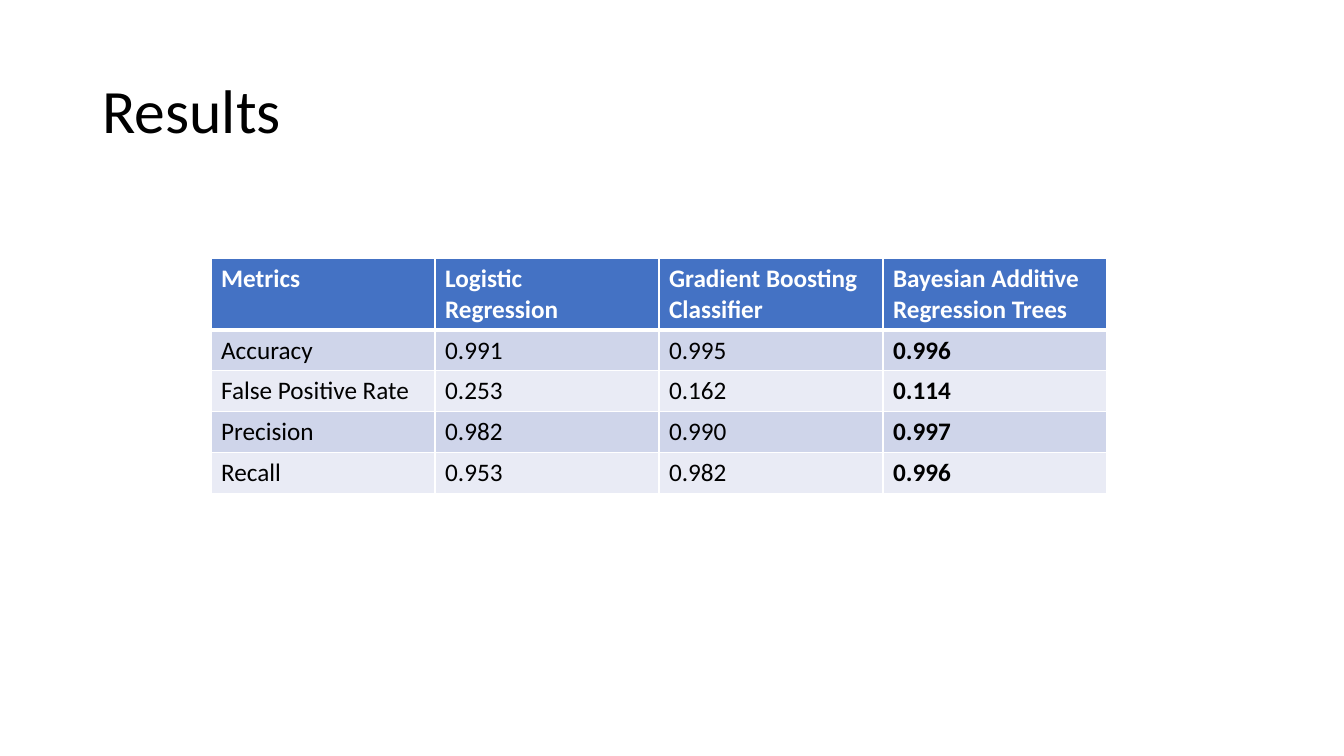
import pptx
import pptx.dml.color
import pptx.enum.text
import pptx.oxml.ns
import pptx.util
from lxml import etree

Cm = pptx.util.Cm
Pt = pptx.util.Pt

RESULTS = [
    ["Metrics", "Logistic\nRegression", "Gradient Boosting Classifier",
     "Bayesian Additive Regression Trees"],
    ["Accuracy", "0.991", "0.995", "0.996"],
    ["False Positive Rate", "0.253", "0.162", "0.114"],
    ["Precision", "0.982", "0.990", "0.997"],
    ["Recall", "0.953", "0.982", "0.996"],
]


def color(value):
    return pptx.dml.color.RGBColor.from_string(value)


class ResultsSlide:
    font_name = "Calibri"
    text_color = "000000"
    light_color = "FFFFFF"
    header_color = "4472C4"
    band_colors = ("E9EBF5", "CFD5EA")

    def __init__(self, presentation):
        self.slide = presentation.slides.add_slide(presentation.slide_layouts[5])

    def format_text(self, text_frame, size, font_color, bold=False):
        for paragraph in text_frame.paragraphs:
            for run in paragraph.runs:
                run.font.name = self.font_name
                run.font.size = Pt(size)
                run.font.bold = bold
                run.font.color.rgb = color(font_color)

    def add_title(self, text):
        title = self.slide.shapes.title
        title.left, title.top = Cm(2.33), Cm(1.01)
        title.width, title.height = Cm(29.21), Cm(3.68)
        text_frame = title.text_frame
        text_frame.text = text
        text_frame.word_wrap = True
        text_frame.vertical_anchor = pptx.enum.text.MSO_ANCHOR.MIDDLE
        paragraph = text_frame.paragraphs[0]
        paragraph.alignment = pptx.enum.text.PP_ALIGN.LEFT
        paragraph.line_spacing = 0.9
        self.format_text(text_frame, 44, self.text_color)

    def add_border(self, cell, side, width):
        properties = cell._tc.get_or_add_tcPr()
        line = etree.SubElement(properties, pptx.oxml.ns.qn(f"a:ln{side}"), w=str(Pt(width)))
        fill = etree.SubElement(line, pptx.oxml.ns.qn("a:solidFill"))
        etree.SubElement(fill, pptx.oxml.ns.qn("a:srgbClr"), val=self.light_color)

    def format_cell(self, cell, row, is_best):
        is_header = row == 0
        borders = {"L": 1, "R": 1, "T": 3 if row == 1 else 1, "B": 3 if is_header else 1}
        for side, width in borders.items():
            self.add_border(cell, side, width)
        cell.fill.solid()
        cell.fill.fore_color.rgb = color(self.header_color if is_header else self.band_colors[row % 2])
        font_color = self.light_color if is_header else self.text_color
        self.format_text(cell.text_frame, 18, font_color, is_header or is_best)

    def add_table(self, rows):
        column_count = len(rows[0])
        header_height, row_height = Cm(1.78), Cm(1.03)
        frame = self.slide.shapes.add_table(
            len(rows), column_count, Cm(5.32), Cm(6.51), Cm(22.58),
            header_height + row_height * (len(rows) - 1))
        table = frame.table
        for row, values in enumerate(rows):
            table.rows[row].height = row_height if row else header_height
            for column, value in enumerate(values):
                cell = table.cell(row, column)
                cell.text_frame.text = value
                self.format_cell(cell, row, column == column_count - 1)


def main():
    presentation = pptx.Presentation()
    presentation.slide_width = Cm(33.87)
    presentation.slide_height = Cm(19.05)
    results = ResultsSlide(presentation)
    results.add_title("Results")
    results.add_table(RESULTS)
    presentation.save("out.pptx")


if __name__ == "__main__":
    main()
